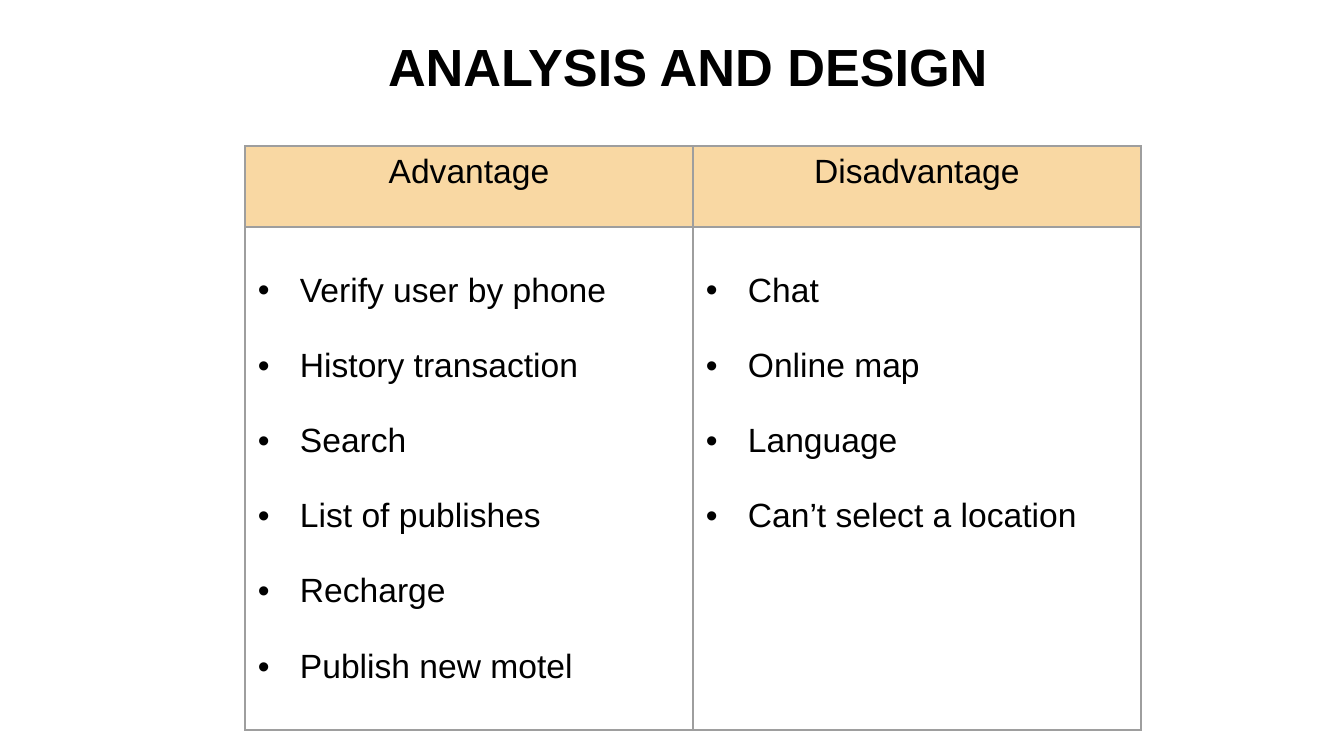
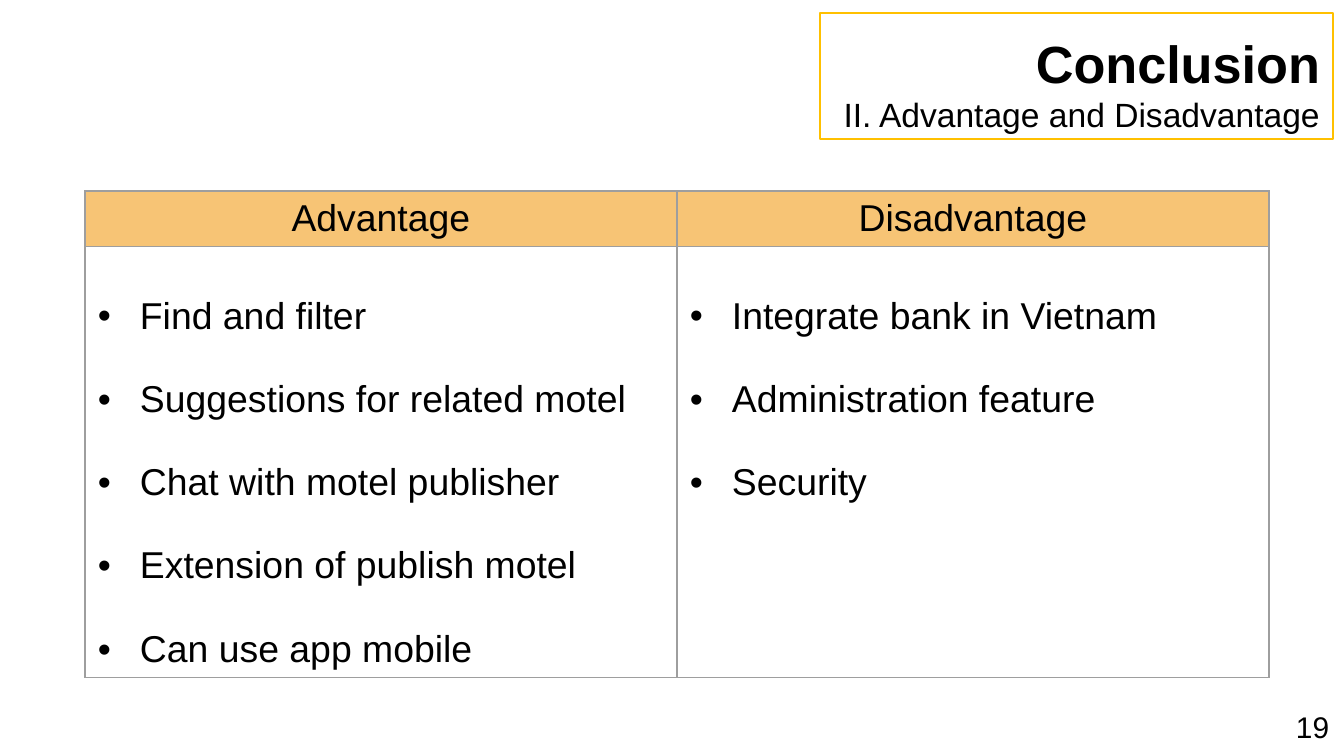
import pptx
import pptx.dml.color
import pptx.enum.text
import pptx.oxml
import pptx.oxml.ns
import pptx.util

RGB = pptx.dml.color.RGBColor
ALIGN = pptx.enum.text.PP_ALIGN
ANCHOR = pptx.enum.text.MSO_ANCHOR
NS = pptx.oxml.ns.nsdecls("a")

SLIDE_W, SLIDE_H = 1344, 756
EMU_PER_PX = 9144000 / SLIDE_W
FONT = "Arial"
BLACK = RGB(0x00, 0x00, 0x00)
GRID_GREY = RGB(0x9E, 0x9E, 0x9E)
GOLD = RGB(0xFF, 0xC0, 0x00)
PALE_ORANGE = RGB(0xF9, 0xD8, 0xA3)
ORANGE = RGB(0xF7, 0xC4, 0x75)
LINE_WIDTH = pptx.util.Pt(0.75)
PAD_X, PAD_Y, BULLET_INDENT = 13, 7, 42
HEADINGS = ("Advantage", "Disadvantage")


def px(n):
    return pptx.util.Emu(round(n * EMU_PER_PX))


def place(sp, box):
    sp.left, sp.top, sp.width, sp.height = map(px, box)


def add_run(p, text, size, bold=False):
    r = p.add_run()
    r.text = text
    r.font.name = FONT
    r.font.size = pptx.util.Pt(size)
    r.font.bold = bold
    r.font.color.rgb = BLACK
    return r


def add_text_shadow(r):
    effect = pptx.oxml.parse_xml(
        f'<a:effectLst {NS}><a:outerShdw blurRad="50800" dist="50800" dir="5400000">'
        '<a:srgbClr val="000000"><a:alpha val="25000"/></a:srgbClr>'
        '</a:outerShdw></a:effectLst>')
    r.font._element.find(pptx.oxml.ns.qn("a:solidFill")).addnext(effect)


def add_title(s, box, text, align, bottom_inset):
    """Format the title placeholder and return it with its first run."""
    sp = s.shapes.title
    place(sp, box)
    tf = sp.text_frame
    tf.word_wrap = True
    tf.auto_size = pptx.enum.text.MSO_AUTO_SIZE.NONE
    tf.vertical_anchor = ANCHOR.BOTTOM
    tf.margin_left = tf.margin_right = px(PAD_X)
    tf.margin_top = tf.margin_bottom = px(bottom_inset)
    p = tf.paragraphs[0]
    p.alignment = align
    return sp, add_run(p, text, 28, bold=True)


def add_bullet(p):
    pPr = p._p.get_or_add_pPr()
    pPr.set("marL", str(px(BULLET_INDENT)))
    pPr.set("indent", str(-px(BULLET_INDENT)))
    pPr.append(pptx.oxml.parse_xml(f'<a:buFont {NS} typeface="{FONT}"/>'))
    pPr.append(pptx.oxml.parse_xml(f'<a:buChar {NS} char="•"/>'))


def format_cell(cell, fill=None):
    tcPr = cell._tc.get_or_add_tcPr()
    for side in "LRTB":
        tcPr.append(pptx.oxml.parse_xml(
            f'<a:ln{side} {NS} w="{LINE_WIDTH}"><a:solidFill>'
            f'<a:srgbClr val="{GRID_GREY}"/></a:solidFill></a:ln{side}>'))
    if fill is None:
        cell.fill.background()
    else:
        cell.fill.solid()
        cell.fill.fore_color.rgb = fill
    cell.margin_left = cell.margin_right = px(PAD_X)
    cell.margin_top = cell.margin_bottom = px(PAD_Y)


def add_comparison(s, box, header_h, fill, size, lists):
    """Add a two-column table: a header row over one row of bullet lists."""
    x, y, w, h = box
    table = s.shapes.add_table(2, len(lists), *map(px, box)).table
    table.first_row = table.horz_banding = False
    table.rows[0].height = px(header_h)
    table.rows[1].height = px(h - header_h)
    for col, (heading, items) in enumerate(zip(HEADINGS, lists)):
        table.columns[col].width = px(w / len(lists))
        head, body = table.cell(0, col), table.cell(1, col)
        format_cell(head, fill)
        format_cell(body)
        p = head.text_frame.paragraphs[0]
        p.alignment = ALIGN.CENTER
        add_run(p, heading, size)
        tf = body.text_frame
        for i, item in enumerate(items):
            p = tf.add_paragraph() if i else tf.paragraphs[0]
            p.line_spacing = 2.0
            add_bullet(p)
            add_run(p, item, size)


def add_page_number(s, box, number):
    tf = s.shapes.add_textbox(*map(px, box)).text_frame
    tf.word_wrap = True
    tf.margin_left = tf.margin_right = px(PAD_X)
    tf.margin_top = tf.margin_bottom = px(PAD_Y)
    p = tf.paragraphs[0]
    p.alignment = ALIGN.CENTER
    add_run(p, number, 16)


def new_slide(prs):
    return prs.slides.add_slide(prs.slide_layouts.get_by_name("Title Only"))


def build_analysis(prs):
    s = new_slide(prs)
    _, r = add_title(s, (375, 17, 741, 89), "ANALYSIS AND DESIGN", ALIGN.LEFT, 9)
    add_text_shadow(r)
    add_comparison(s, (245, 146, 896, 584), 81, PALE_ORANGE, 18, (
        ("Verify user by phone", "History transaction", "Search",
         "List of publishes", "Recharge", "Publish new motel"),
        ("Chat", "Online map", "Language", "Can’t select a location")))


def build_conclusion(prs):
    s = new_slide(prs)
    sp, _ = add_title(s, (820, 13, 513, 126), "Conclusion", ALIGN.RIGHT, 5)
    sp.line.color.rgb = GOLD
    sp.line.width = LINE_WIDTH
    p = sp.text_frame.add_paragraph()
    p.alignment = ALIGN.RIGHT
    add_run(p, "II. Advantage and Disadvantage", 18)
    add_comparison(s, (85, 191, 1184, 485), 55, ORANGE, 20, (
        ("Find and filter", "Suggestions for related motel",
         "Chat with motel publisher", "Extension of publish motel",
         "Can use app mobile"),
        ("Integrate bank in Vietnam", "Administration feature", "Security")))
    add_page_number(s, (1281, 702, 63, 50), "19")


def main():
    prs = pptx.Presentation()
    prs.slide_width, prs.slide_height = px(SLIDE_W), px(SLIDE_H)
    build_analysis(prs)
    build_conclusion(prs)
    prs.save("out.pptx")


if __name__ == "__main__":
    main()
